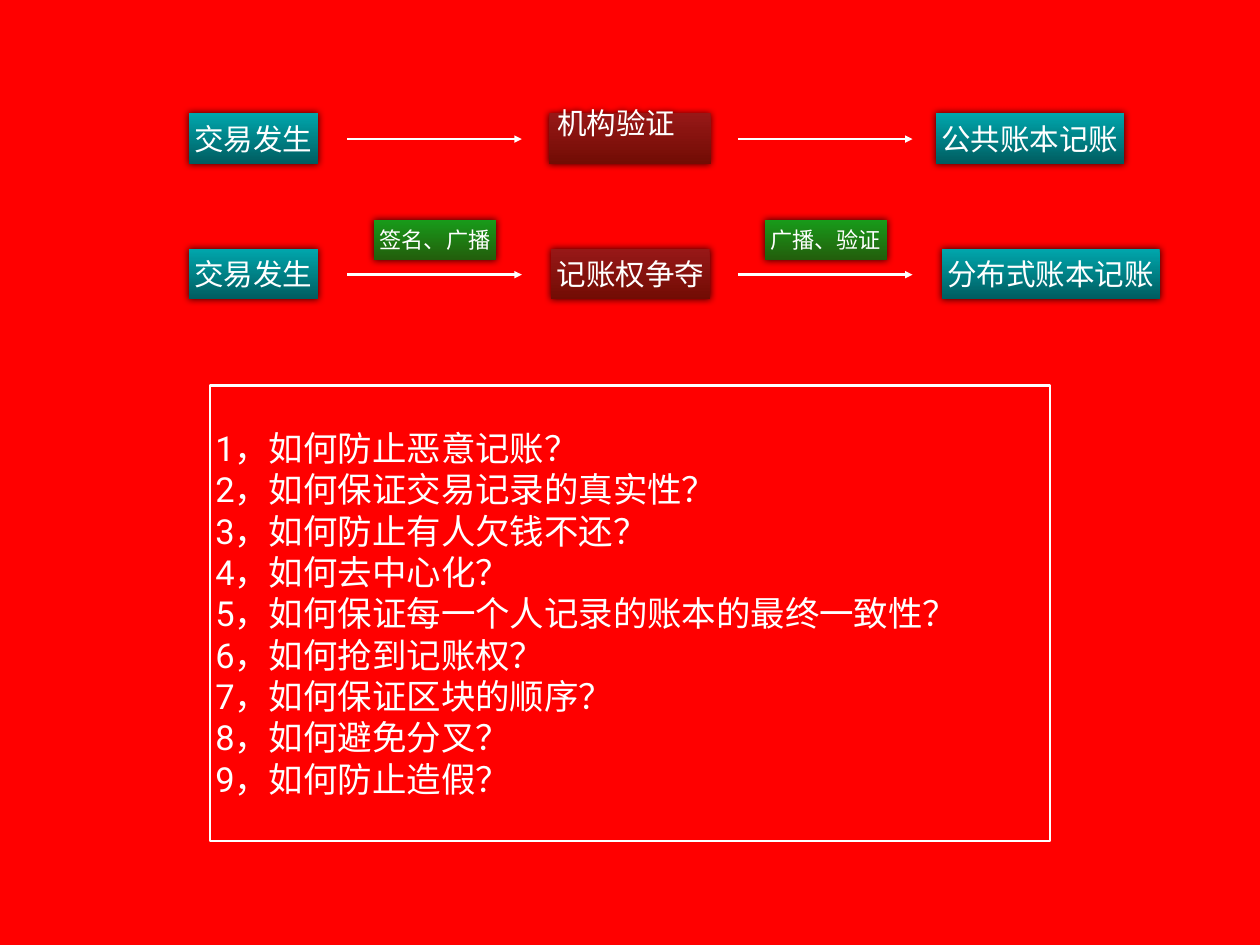
from dataclasses import dataclass

from lxml import etree
from pptx import Presentation
from pptx.dml.color import RGBColor
from pptx.enum.shapes import MSO_CONNECTOR, MSO_SHAPE
from pptx.enum.text import MSO_ANCHOR, MSO_AUTO_SIZE, PP_ALIGN
from pptx.oxml.ns import qn
from pptx.util import Emu, Inches, Pt

RECTANGLE = MSO_SHAPE.RECTANGLE
STRAIGHT = MSO_CONNECTOR.STRAIGHT
MIDDLE = MSO_ANCHOR.MIDDLE
NO_FIT = MSO_AUTO_SIZE.NONE
LEFT, CENTER = PP_ALIGN.LEFT, PP_ALIGN.CENTER

COLUMNS, ROWS = 128, 96
CELL = Inches(1) / 9


@dataclass(frozen=True)
class Theme:
    font: str = "Roboto"
    background: str = "FF0000"
    ink: str = "FFFFFF"
    shadow: str = "000000"
    teal: tuple[str, str] = ("00A6AC", "005C60")
    maroon: tuple[str, str] = ("971817", "720C04")
    green: tuple[str, str] = ("189B1A", "235D0B")
    step_size: int = 24
    tag_size: int = 18
    list_size: int = 28
    line_width: int = 2
    inset: float = 0.06


THEME = Theme()


@dataclass(frozen=True)
class Box:
    text: str
    column: float
    row: float
    width: float
    height: float
    gradient: tuple[str, str]
    size: int = THEME.step_size
    align: PP_ALIGN = CENTER
    left_inset: float = THEME.inset
    bottom_inset: float = THEME.inset


CENTRAL_ROW, SHARED_ROW, TAG_ROW = 11.52, 25.29, 22.32
STEP_HEIGHT, TAG_HEIGHT, TAG_WIDTH = 5.13, 4.14, 12.42
START_COLUMN, START_WIDTH = 19.17, 13.14
ARROW_COLUMN, ARROW_LENGTH, ARROW_DROP = 35.28, 17.73, 2.61
TAG_COLUMN, STAGE_PITCH = 37.98, 39.69
PANEL = (21.33, 39.15, 85.32, 46.26)

STEPS = [
    Box("交易发生", START_COLUMN, CENTRAL_ROW, START_WIDTH, STEP_HEIGHT, THEME.teal),
    Box("机构验证", 55.8, CENTRAL_ROW, 16.38, STEP_HEIGHT, THEME.maroon,
        align=LEFT, left_inset=0.09, bottom_inset=0.42),
    Box("公共账本记账", 95.04, CENTRAL_ROW, 19.17, STEP_HEIGHT, THEME.teal),
    Box("交易发生", START_COLUMN, SHARED_ROW, START_WIDTH, STEP_HEIGHT, THEME.teal),
    Box("记账权争夺", 55.98, SHARED_ROW, 16.11, STEP_HEIGHT, THEME.maroon),
    Box("分布式账本记账", 95.67, SHARED_ROW, 22.14, STEP_HEIGHT, THEME.teal),
]
TAGS = [
    Box(text, TAG_COLUMN + stage * STAGE_PITCH, TAG_ROW, TAG_WIDTH, TAG_HEIGHT,
        THEME.green, THEME.tag_size)
    for stage, text in enumerate(("签名、广播", "广播、验证"))
]
QUESTIONS = [
    "如何防止恶意记账？",
    "如何保证交易记录的真实性？",
    "如何防止有人欠钱不还？",
    "如何去中心化？",
    "如何保证每一个人记录的账本的最终一致性？",
    "如何抢到记账权？",
    "如何保证区块的顺序？",
    "如何避免分叉？",
    "如何防止造假？",
]


def grid(*cells: float) -> list[Emu]:
    return [Emu(round(cell * CELL)) for cell in cells]


def apply(target, values: dict) -> None:
    for name, value in values.items():
        setattr(target, name, value)


def color(code: str) -> RGBColor:
    return RGBColor.from_string(code)


def write(frame, lines: list[str], size: int, align: PP_ALIGN, frame_values: dict) -> None:
    inset = Inches(THEME.inset)
    apply(frame, {
        "auto_size": NO_FIT, "vertical_anchor": MIDDLE,
        "margin_left": inset, "margin_right": inset,
        "margin_top": inset, "margin_bottom": inset,
    } | frame_values)
    for index, line in enumerate(lines):
        para = frame.add_paragraph() if index else frame.paragraphs[0]
        apply(para, {"alignment": align, "space_before": Pt(0),
                     "space_after": Pt(0), "line_spacing": 1.0})
        span = para.add_run()
        span.text = line
        apply(span.font, {"name": THEME.font, "size": Pt(size)})
        span.font.color.rgb = color(THEME.ink)
        etree.SubElement(span.font._element, qn("a:ea"), typeface=THEME.font)


def draw_outline(line) -> None:
    line.color.rgb = color(THEME.ink)
    line.width = Pt(THEME.line_width)


def add_shadow(shape) -> None:
    shape.shadow.inherit = False
    effects = shape._element.spPr.find(qn("a:effectLst"))
    shadow = etree.SubElement(effects, qn("a:outerShdw"), blurRad=str(Pt(6)),
                              dist="0", dir="18900000", rotWithShape="0")
    tone = etree.SubElement(shadow, qn("a:srgbClr"), val=THEME.shadow)
    etree.SubElement(tone, qn("a:alpha"), val="80000")


def draw_box(page, box: Box) -> None:
    shape = page.shapes.add_shape(
        RECTANGLE, *grid(box.column, box.row, box.width, box.height))
    shape.fill.gradient()
    shape.fill.gradient_angle = 270
    for stop, code in zip(shape.fill.gradient_stops, box.gradient):
        stop.color.rgb = color(code)
    shape.line.fill.background()
    add_shadow(shape)
    write(shape.text_frame, [box.text], box.size, box.align, {
        "word_wrap": False,
        "margin_left": Inches(box.left_inset),
        "margin_bottom": Inches(box.bottom_inset),
    })


def draw_arrow(page, column: float, row: float) -> None:
    arrow = page.shapes.add_connector(
        STRAIGHT, *grid(column, row, column + ARROW_LENGTH, row))
    draw_outline(arrow.line)
    etree.SubElement(arrow.get_or_add_ln(), qn("a:tailEnd"), type="triangle")
    etree.SubElement(arrow._element.spPr, qn("a:effectLst"))


def draw_questions(page) -> None:
    body = page.placeholders[1]
    apply(body, dict(zip(("left", "top", "width", "height"), grid(*PANEL))))
    draw_outline(body.line)
    lines = [f"{number}，{question}" for number, question in enumerate(QUESTIONS, 1)]
    write(body.text_frame, lines, THEME.list_size, LEFT, {"word_wrap": True})
    for para in body.text_frame.paragraphs:
        properties = para._p.get_or_add_pPr()
        properties.set("marL", "0")
        properties.set("indent", "0")
        etree.SubElement(properties, qn("a:buNone"))


def main() -> None:
    deck = Presentation()
    deck.slide_width, deck.slide_height = grid(COLUMNS, ROWS)
    page = deck.slides.add_slide(deck.slide_layouts[1])
    page.background.fill.solid()
    page.background.fill.fore_color.rgb = color(THEME.background)
    title = page.shapes.title._element
    title.getparent().remove(title)
    for box in STEPS + TAGS:
        draw_box(page, box)
    for row in (CENTRAL_ROW, SHARED_ROW):
        for stage in range(2):
            draw_arrow(page, ARROW_COLUMN + stage * STAGE_PITCH, row + ARROW_DROP)
    draw_questions(page)
    deck.save("out.pptx")


if __name__ == "__main__":
    main()
